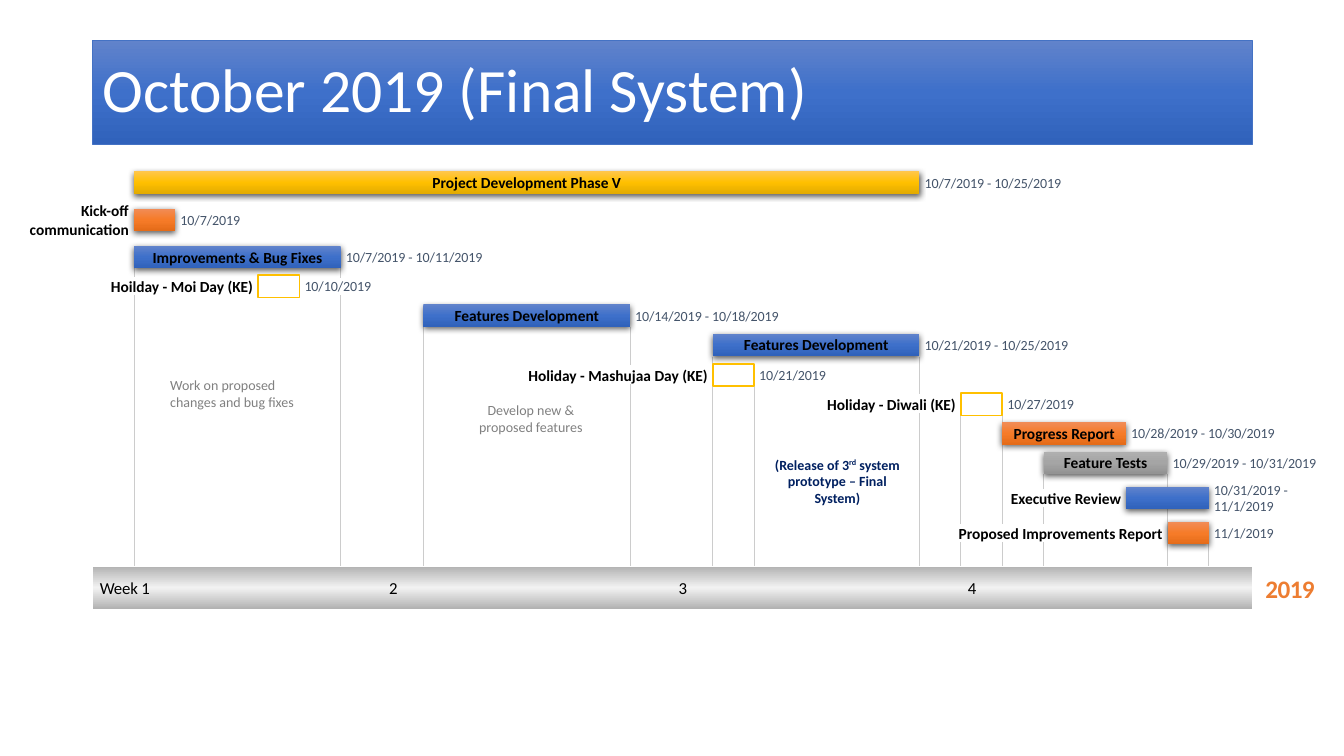
import pptx
import pptx.util
import pptx.dml.color
import pptx.enum.shapes
import pptx.enum.text
import pptx.oxml.ns
from lxml import etree

Inches = pptx.util.Inches
Pt = pptx.util.Pt
RGB = pptx.dml.color.RGBColor.from_string
qn = pptx.oxml.ns.qn
RECT = pptx.enum.shapes.MSO_SHAPE.RECTANGLE
ALIGN = pptx.enum.text.PP_ALIGN

theme = {
    "font": "Calibri",
    "blue": ["6183CB", "3E70CA", "3062BB"],
    "gold": ["FFC64B", "FFC000", "E3AB00"],
    "orange": ["F18C57", "F67B28", "E56C19"],
    "gray": ["AFAFAF", "A5A5A5", "939393"],
    "axis": ["B2B2B2", "F2F2F2", "B2B2B2"],
    "white": "FFFFFF",
    "black": "000000",
    "edge": "4472C4",
    "off": "FFC000",
    "guide": "CCCCCC",
    "date": "44546A",
    "note": "808080",
    "navy": "002060",
    "year": "ED7D31",
    "title_size": 44,
    "year_size": 18,
    "week_size": 12,
    "name_size": 11,
    "note_size": 10,
}

deck = pptx.Presentation()
deck.slide_width = Inches(13.33)
deck.slide_height = Inches(7.5)
slide = deck.slides.add_slide(deck.slide_layouts[6])


def write(text, at=None, shape=None, size="note_size", color="black", bold=False,
          align=ALIGN.LEFT, track=0, pad=(0, 0), wrap=True, lead=None):
    shape = shape or slide.shapes.add_textbox(*map(Inches, at))
    frame = shape.text_frame
    frame.word_wrap = wrap
    frame.vertical_anchor = pptx.enum.text.MSO_ANCHOR.MIDDLE
    frame.margin_left = frame.margin_right = Inches(pad[0])
    frame.margin_top = frame.margin_bottom = Inches(pad[1])
    para = frame.paragraphs[0]
    para.alignment = align
    if lead:
        para.line_spacing = lead
    for i, part in enumerate(text.split("^")):
        run = para.add_run()
        run.text = part
        run.font.name = theme["font"]
        run.font.size = Pt(theme[size])
        run.font.bold = bold
        run.font.color.rgb = RGB(theme[color])
        props = run.font._element
        if track:
            props.set("spc", str(round(track * 100)))
        if i % 2:
            props.set("baseline", "30000")


def block(at, fill, line=None, width=1, shade=False):
    shape = slide.shapes.add_shape(RECT, *map(Inches, at))
    shape.shadow.inherit = False
    if fill == "white":
        shape.fill.solid()
        shape.fill.fore_color.rgb = RGB(theme[fill])
    else:
        shape.fill.gradient()
        shape.fill.gradient_angle = 270
        stops = shape._element.spPr.find(".//" + qn("a:gsLst"))
        for stop in list(stops):
            stops.remove(stop)
        for pos, tone in zip((0, 50000, 100000), theme[fill]):
            stop = etree.SubElement(stops, qn("a:gs"), pos=str(pos))
            etree.SubElement(stop, qn("a:srgbClr"), val=tone)
    if line:
        shape.line.color.rgb = RGB(theme[line])
        shape.line.width = Pt(width)
    else:
        shape.line.fill.background()
    if shade:
        effects = shape._element.spPr.find(qn("a:effectLst"))
        cast = etree.SubElement(effects, qn("a:outerShdw"), blurRad=str(Pt(4.5)),
                                dist=str(Pt(1.5)), dir="5400000", algn="ctr",
                                rotWithShape="0")
        tone = etree.SubElement(cast, qn("a:srgbClr"), val=theme["black"])
        etree.SubElement(tone, qn("a:alpha"), val="63000")
    return shape


left, base, high, gap, slack = 0.92, 5.62, 0.22, 0.05, 0.1
start, first = 1.33, 7
step = 2.87 / 7

banner = block((left, 0.4, 11.5, 1.03), "blue", "edge", 0.5)
write("October 2019 (Final System)", shape=banner, size="title_size", color="white",
      pad=(0.1, 0.05), lead=0.9)

guides = {
    33: [(5.4, base)],
    32: [(5.05, base), (4.7, 4.83)],
    29: [(5.38, base), (5.03, 5.2), (4.7, 4.85)],
    28: [(5.38, base), (4.12, 5.2)],
    27: [(5.38, base), (4.12, 5.2)],
    22: [(3.83, base)],
    26: [(4.1, base), (3.54, 3.91)],
    21: [(3.83, base), (3.54, 3.61)],
    19: [(3.81, base), (3.24, 3.62)],
    14: [(3.24, base)],
    12: [(2.93, base), (2.66, 2.76)],
    7: [(2.93, base), (2.66, 2.75)],
}
for day, spans in guides.items():
    x = Inches(start + (day - first) * step)
    for top, end in spans:
        line = slide.shapes.add_connector(pptx.enum.shapes.MSO_CONNECTOR.STRAIGHT,
                                          x, Inches(top), x, Inches(end))
        line.line.color.rgb = RGB(theme["guide"])
        line.line.width = Pt(0.75)
        etree.SubElement(line._element.spPr, qn("a:effectLst"))

write("2019", (12.55, 5.68, 0.49, 0.31), size="year_size", color="year", bold=True,
      align=ALIGN.CENTER, track=-0.4, wrap=False)
block((left, base, 11.5, 0.42), "axis")
for i, week in enumerate(["Week 1", "2", "3", "4"]):
    write(week, (0.99 + i * 7 * step, 5.73, 0.08 if i else 0.51, 0.2),
          size="week_size", track=-0.3 if i else -0.1, wrap=False)

tasks = [
    (1.7, 7, 19, "gold", "Project Development Phase V", 1.89, "10/7/2019 - 10/25/2019", 1.39),
    (2.07, 7, 1, "orange", "Kick-off communication", 0.99, "10/7/2019", 0.61),
    (2.44, 7, 5, "blue", "Improvements & Bug Fixes", 1.69, "10/7/2019 - 10/11/2019", 1.39),
    (2.73, 10, 1, "white", "Hoilday - Moi Day (KE)", 1.42, "10/10/2019", 0.68),
    (3.02, 14, 5, "blue", "Features Development", 1.44, "10/14/2019 - 10/18/2019", 1.46),
    (3.31, 21, 5, "blue", "Features Development", 1.44, "10/21/2019 - 10/25/2019", 1.46),
    (3.61, 21, 1, "white", "Holiday - Mashujaa Day (KE)", 1.79, "10/21/2019", 0.68),
    (3.9, 27, 1, "white", "Holiday - Diwali (KE)", 1.29, "10/27/2019", 0.68),
    (4.19, 28, 3, "orange", "Progress Report", 1.01, "10/28/2019 - 10/30/2019", 1.46),
    (4.48, 29, 3, "gray", "Feature Tests", 0.83, "10/29/2019 - 10/31/2019", 1.46),
    (4.83, 31, 2, "blue", "Executive Review", 1.1, "10/31/2019 - 11/1/2019", 0.78),
    (5.18, 32, 1, "orange", "Proposed Improvements Report", 2.03, "11/1/2019", 0.61),
]
for top, day, days, fill, name, wide, date, span in tasks:
    x = start + (day - first) * step
    long = days * step
    mid = top + high / 2
    off = fill == "white"
    block((x, top, long, high), fill, "off" if off else None, shade=not off)

    inside = days > 2
    tall = 0.37 if wide == 0.99 else 0.19
    wide += slack
    spot = x + (long - wide) / 2 if inside else x - gap - wide
    write(name, (spot, mid - tall / 2, wide, tall), size="name_size", bold=True,
          align=ALIGN.CENTER if inside else ALIGN.RIGHT, track=-0.03)

    tall = 0.34 if span == 0.78 else 0.17
    write(date, (x + long + gap, mid - tall / 2, span + slack, tall), color="date",
          track=-0.05)

notes = [
    (1.59, 3.68, 0.44, "Work on proposed changes and bug fixes", "note", ALIGN.LEFT),
    (4.53, 3.93, 0.44, "Develop new & proposed features", "note", ALIGN.CENTER),
    (7.57, 4.47, 0.61, "(Release of 3^rd^ system prototype – Final System)", "navy", ALIGN.CENTER),
]
for x, y, tall, text, color, align in notes:
    write(text, (x, y, 1.47, tall), color=color, align=align, bold=color == "navy",
          pad=(0.1, 0.05))

deck.save("out.pptx")
